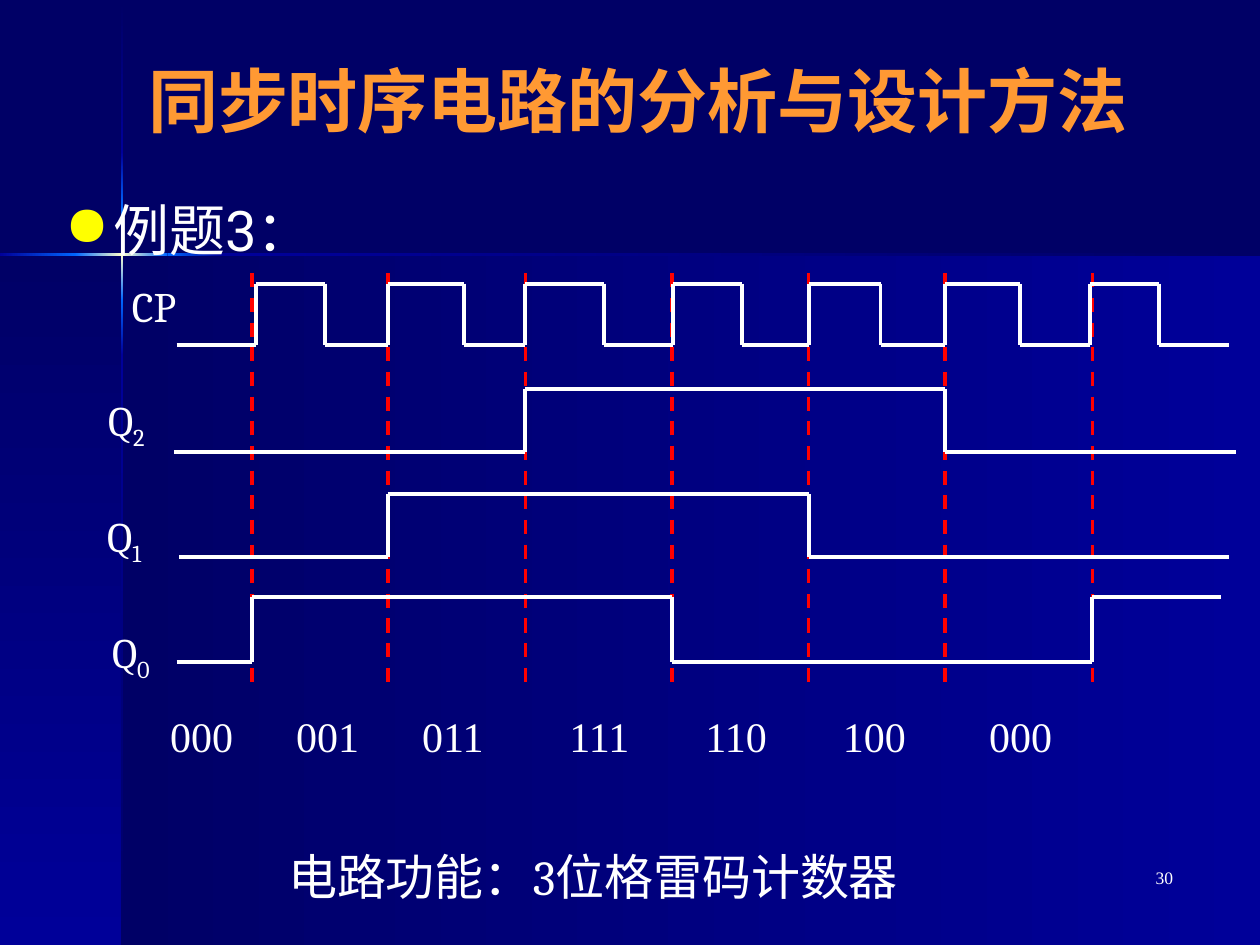
from dataclasses import dataclass
from itertools import pairwise

from lxml.etree import SubElement
from pptx import Presentation
from pptx.dml.color import RGBColor as Color
from pptx.enum.dml import MSO_LINE as Dash
from pptx.enum.shapes import MSO_CONNECTOR as Connector, MSO_SHAPE as Shape
from pptx.enum.text import MSO_ANCHOR as Anchor, MSO_AUTO_SIZE as AutoSize, PP_ALIGN as Align
from pptx.oxml.ns import qn
from pptx.util import Cm, Pt


@dataclass(frozen=True)
class Theme:
    navy: str = "000066"
    blue: str = "000099"
    bright: str = "0066FF"
    glow: str = "FFFFCC"
    white: str = "FFFFFF"
    orange: str = "FF9933"
    yellow: str = "FFFF00"
    red: str = "FF0000"
    title: int = 40
    body: int = 32
    summary: int = 28
    label: int = 24
    number: int = 10
    signal: float = 2.25
    guide: float = 2
    sans: str = "Roboto"
    serif: str = "Cambria"
    digits: str = "Times New Roman"


theme = Theme()
deck = Presentation()
deck.slide_width, deck.slide_height = Cm(25.4), Cm(19.05)
page = deck.slides.add_slide(deck.slide_layouts[6])
page.background.fill.solid()
page.background.fill.fore_color.rgb = Color.from_string(theme.navy)


def add_text(text, left, top, width, height, size, font, color=theme.white, wrap=False):
    box = page.shapes.add_textbox(Cm(left), Cm(top), Cm(width), Cm(height))
    frame = box.text_frame
    frame.text = text
    frame.word_wrap = wrap
    frame.auto_size = AutoSize.NONE if wrap else AutoSize.SHAPE_TO_FIT_TEXT
    span = frame.paragraphs[0].runs[0]
    span.font.size, span.font.name = Pt(size), font
    span.font.color.rgb = Color.from_string(color)
    return frame


def add_line(start, end, color=theme.white, width=theme.signal):
    line = page.shapes.add_connector(
        Connector.STRAIGHT, Cm(start[0]), Cm(start[1]), Cm(end[0]), Cm(end[1]))
    line.line.color.rgb = Color.from_string(color)
    line.line.width = Pt(width)
    SubElement(line._element.spPr, qn("a:effectLst"))
    return line


across, down = 0, 270
fade_in = (theme.blue, theme.bright)
fade_out = (theme.bright, theme.blue)
flare = (theme.bright, theme.glow, theme.bright)
bands = [
    (2.46, 5.13, 22.94, 13.92, across, (theme.navy, theme.blue)),
    (0, 5.13, 2.46, 13.92, down, (theme.navy, theme.blue)),
    (2.44, 0.03, 0.05, 3.04, down, (theme.navy, theme.blue)),
    (2.44, 7.16, 0.05, 11.89, down, (theme.blue, theme.navy)),
    (4.5, 5.11, 20.9, 0.05, across, (theme.blue, theme.navy)),
    (2.44, 6.05, 0.05, 1.11, down, fade_out),
    (2.44, 3.07, 0.05, 1.12, down, fade_in),
    (2.44, 4.19, 0.05, 1.86, down, flare),
    (0, 5.11, 1.55, 0.05, across, fade_in),
    (3.38, 5.11, 1.12, 0.05, across, fade_out),
    (1.52, 5.11, 1.86, 0.05, across, flare),
]
for left, top, width, height, angle, colors in bands:
    band = page.shapes.add_shape(Shape.RECTANGLE, Cm(left), Cm(top), Cm(width), Cm(height))
    band.shadow.inherit = False
    band.line.fill.background()
    band.fill.gradient()
    band.fill.gradient_angle = angle
    stops = band._element.spPr.find(".//" + qn("a:gsLst"))
    stops.clear()
    for index, color in enumerate(colors):
        stop = SubElement(stops, qn("a:gs"), pos=str(index * 100000 // (len(colors) - 1)))
        SubElement(stop, qn("a:srgbClr"), val=color)

number = add_text("30", 18.62, 17.35, 5.28, 1.27, theme.number, theme.digits, wrap=True)
number.paragraphs[0].alignment = Align.RIGHT

edges = [5.08, 7.82, 10.59, 13.55, 16.3, 19.05, 22.02]
for edge in edges:
    guide = add_line((edge, 5.51), (edge, 13.82), theme.red, theme.guide)
    guide.line.dash_style = Dash.DASH

title = add_text(" 同步时序电路的分析与设计方法", 0.42, 0.85, 24.55, 2.33,
                 theme.title, theme.sans, theme.orange, wrap=True)
title.vertical_anchor = Anchor.MIDDLE
title.paragraphs[0].alignment = Align.CENTER
title.paragraphs[0].runs[0].font.bold = True

example = add_text("例题3：", 1.06, 3.81, 23.7, 13.12, theme.body, theme.sans, wrap=True)
layout = example.paragraphs[0]._p.get_or_add_pPr()
layout.set("marL", str(Cm(0.97)))
layout.set("indent", str(-Cm(0.97)))
SubElement(SubElement(layout, qn("a:buClr")), qn("a:srgbClr"), val=theme.yellow)
SubElement(layout, qn("a:buChar"), char="●")

add_text("CP", 2.41, 5.54, 1.53, 1.27, theme.label, theme.serif)
clock_high, clock_low = 5.72, 6.95
rises = [5.16, 7.82, 10.59, 13.56, 16.31, 19.05, 21.97]
falls = [6.55, 9.35, 12.17, 14.96, 17.75, 20.57, 23.37]
clock = [(3.56, clock_low)]
for rise, fall in zip(rises, falls):
    clock += [(rise, clock_low), (rise, clock_high), (fall, clock_high), (fall, clock_low)]
clock.append((24.77, clock_low))
for start, end in pairwise(clock):
    add_line(start, end)

states = ["000", "001", "011", "111", "110", "100", "000", "001"]
signals = [
    ("2", 1.93, 7.82, 7.85, 9.11, 3.51, 24.92),
    ("1", 1.91, 10.16, 9.96, 11.23, 3.61, 24.77),
    ("0", 2.01, 12.5, 12.04, 13.34, 3.56, 24.61),
]
for bit, (name, left, top, high, low, first, last) in enumerate(signals):
    label = add_text("Q", left, top, 1.4, 1.42, theme.label, theme.serif)
    span = label.paragraphs[0].add_run()
    span.text = name
    span.font.size, span.font.name = Pt(theme.label), theme.serif
    span.font.color.rgb = Color.from_string(theme.white)
    span._r.get_or_add_rPr().set("baseline", "-25000")
    levels = [high if state[bit] == "1" else low for state in states]
    for (start, end), level in zip(pairwise([first, *edges, last]), levels):
        add_line((start, level), (end, level))
    for edge, (before, after) in zip(edges, pairwise(levels)):
        if before != after:
            add_line((edge, before), (edge, after))

state_lefts = [3.18, 5.72, 8.26, 11.23, 13.97, 16.74, 19.69]
for state, left in zip(states, state_lefts):
    add_text(state, left, 14.2, 1.78, 1.27, theme.label, theme.digits)

add_text("电路功能：3位格雷码计数器", 5.56, 16.94, 13.36, 1.45, theme.summary, theme.serif)

deck.save("out.pptx")
